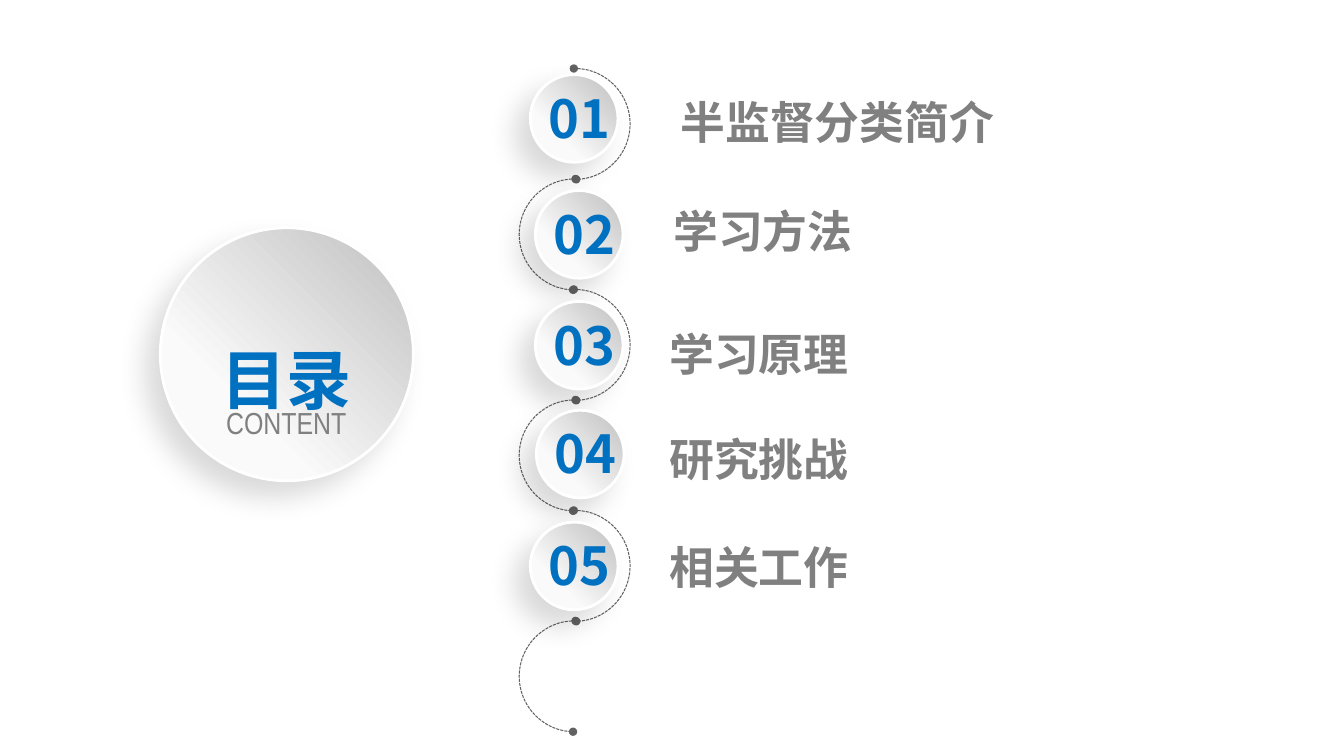
from lxml import etree
from pptx import Presentation
from pptx.dml.color import RGBColor
from pptx.enum.dml import MSO_LINE
from pptx.enum.shapes import MSO_SHAPE
from pptx.enum.text import MSO_ANCHOR, MSO_AUTO_SIZE, PP_ALIGN
from pptx.oxml.ns import qn
from pptx.util import Inches, Pt

BLUE = RGBColor(0x00, 0x70, 0xC0)
GRAY = RGBColor(0x80, 0x80, 0x80)
ARC_GRAY = RGBColor(0x62, 0x62, 0x62)
SILVER = RGBColor(0xBF, 0xBF, 0xBF)
PALE = RGBColor(0xFA, 0xFA, 0xFA)
WHITE = RGBColor(0xFF, 0xFF, 0xFF)
CJK_FONT = "Noto Sans CJK SC"

presentation = Presentation()
presentation.slide_width = Inches(13.33)
presentation.slide_height = Inches(7.5)
slide = presentation.slides.add_slide(presentation.slide_layouts[5])
shapes = slide.shapes


def add_disc(left, top, size):
    """A raised disc with a gradient, a white rim and a soft shadow."""
    disc = shapes.add_shape(MSO_SHAPE.OVAL, Inches(left), Inches(top),
                            Inches(size), Inches(size))
    disc.fill.gradient()
    disc.fill.gradient_angle = 225
    for stop, (color, position) in zip(disc.fill.gradient_stops,
                                       ((SILVER, 0), (PALE, 0.7))):
        stop.color.rgb = color
        stop.position = position
    disc.line.color.rgb = WHITE
    disc.line.width = Pt(2)
    disc.shadow.inherit = False
    effects = disc._element.spPr.find(qn("a:effectLst"))
    shadow = etree.SubElement(effects, qn("a:outerShdw"), blurRad=str(Pt(20)),
                              dist=str(Pt(15)), dir="8100000", algn="tr", rotWithShape="0")
    color = etree.SubElement(shadow, qn("a:srgbClr"), val="000000")
    etree.SubElement(color, qn("a:alpha"), val="15000")


def write(shape, text, size, color, font_name=CJK_FONT, bold=True,
          align=PP_ALIGN.CENTER, anchor=MSO_ANCHOR.MIDDLE, spacing=None, baseline=None):
    """Put one formatted line of text into a shape that fits it."""
    frame = shape.text_frame
    frame.word_wrap = False
    frame.auto_size = MSO_AUTO_SIZE.SHAPE_TO_FIT_TEXT
    frame.vertical_anchor = anchor
    paragraph = frame.paragraphs[0]
    paragraph.alignment = align
    paragraph.line_spacing = spacing
    run = paragraph.add_run()
    run.text = text
    run.font.size = Pt(size)
    run.font.bold = bold
    run.font.color.rgb = color
    run.font.name = font_name
    properties = run._r.get_or_add_rPr()
    etree.SubElement(properties, qn("a:ea"), typeface=font_name)
    if baseline:
        properties.set("baseline", baseline)


# Large disc with the title
add_disc(1.59, 2.26, 2.51)
title = shapes.title
title.left, title.top, title.width, title.height = map(Inches, (2.02, 2.66, 1.64, 1.41))
shapes._spTree.append(title._element)
write(title, "目录", 80, BLUE, spacing=1.5, baseline="12000")

# Subtitle, in a box wide enough to hold one line
subtitle = shapes.add_textbox(Inches(1.94), Inches(3.65), Inches(1.8), Inches(0.71))
write(subtitle, "CONTENT", 37.4, GRAY, "Arial Narrow", False, spacing=1.5, baseline="12000")

# Winding dashed line of alternating half circles
for index in range(6):
    arc = shapes.add_shape(MSO_SHAPE.ARC, Inches(5.15), Inches(0.68 + 1.096 * index),
                           Inches(1.1), Inches(1.1))
    arc.adjustments[0] = 161.5
    arc.adjustments[1] = 53
    arc.fill.background()
    arc.shadow.inherit = False
    arc.line.color.rgb = ARC_GRAY
    arc.line.width = Pt(0.75)
    arc.line.dash_style = MSO_LINE.SQUARE_DOT
    for end in ("a:headEnd", "a:tailEnd"):
        etree.SubElement(arc.line._ln, qn(end), type="oval")
    if index % 2:
        arc._element.spPr.find(qn("a:xfrm")).set("flipH", "1")

# Agenda: disc left and top, label left, top and width, label
agenda = [
    (5.26, 0.74, 6.65, 0.89, 3.34, "半监督分类简介"),
    (5.31, 1.89, 6.58, 1.97, 2, "学习方法"),
    (5.31, 2.99, 6.54, 3.19, 2, "学习原理"),
    (5.32, 4.07, 6.54, 4.23, 2, "研究挑战"),
    (5.26, 5.18, 6.54, 5.31, 2, "相关工作"),
]
for number, (left, top, label_left, label_top, label_width, text) in enumerate(agenda, 1):
    add_disc(left, top, 0.87)
    number_box = shapes.add_textbox(Inches(left + 0.07), Inches(top + 0.06),
                                    Inches(0.84), Inches(0.73))
    write(number_box, f"{number:02}", 37.4, BLUE)
    label = shapes.add_textbox(Inches(label_left), Inches(label_top),
                               Inches(label_width), Inches(0.64))
    write(label, text, 32, GRAY, align=PP_ALIGN.LEFT, anchor=MSO_ANCHOR.TOP)

presentation.save("out.pptx")
